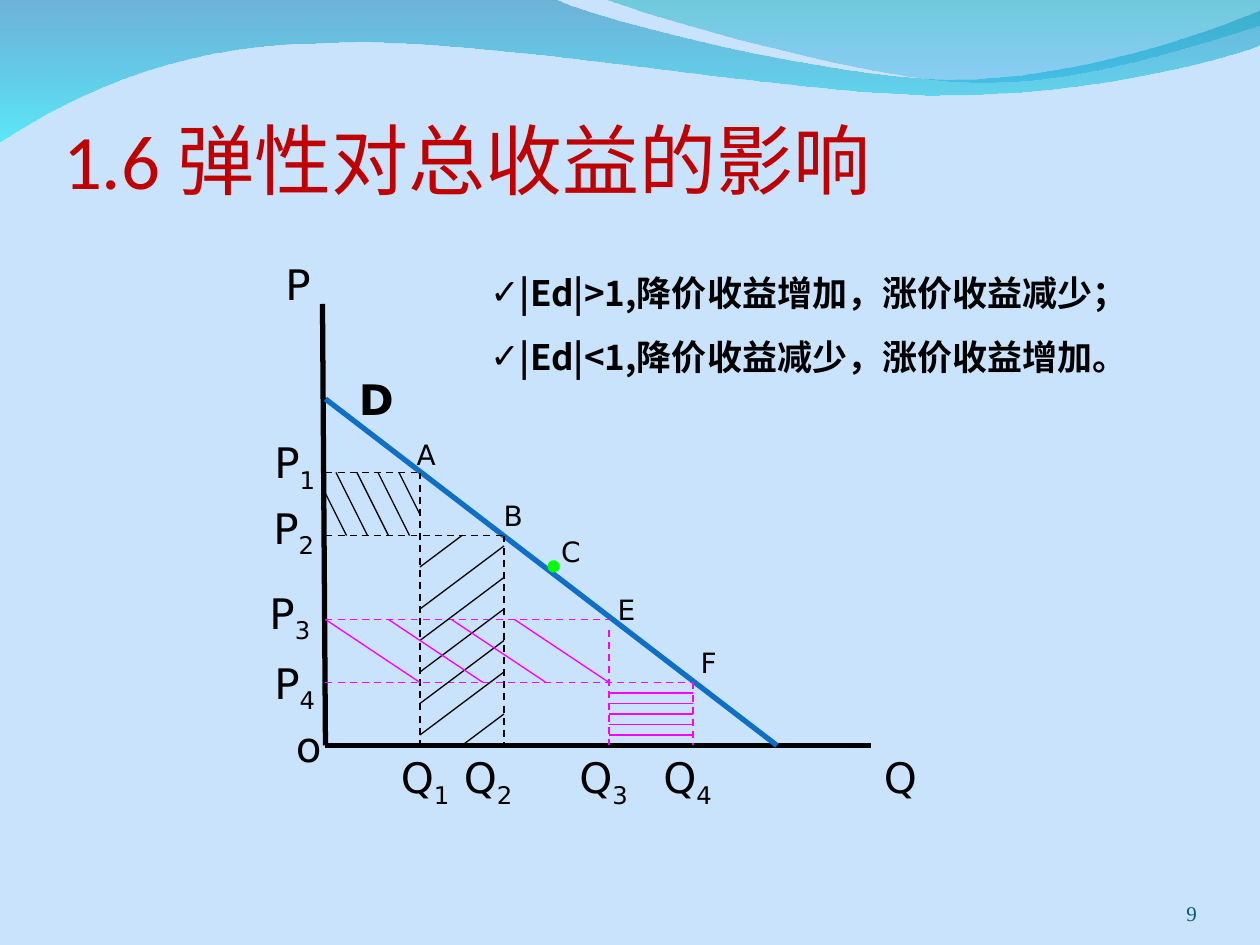
import pptx
import pptx.util
import pptx.dml.color
import pptx.enum.dml
import pptx.enum.shapes
import pptx.enum.text
import pptx.oxml
import pptx.oxml.ns

PX = 914400 / 126
Pt = pptx.util.Pt
qn = pptx.oxml.ns.qn
ANCHOR = pptx.enum.text.MSO_ANCHOR
ALIGN = pptx.enum.text.PP_ALIGN
AUTO = pptx.enum.text.MSO_AUTO_SIZE
BLACK, MAGENTA, BLUE = "000000", "FF00FF", "0F6FC6"
SANS, CJK = "DejaVu Sans", "Noto Sans CJK SC"

# Pairs are straight steps; triples of points are Bezier curves
WAVES = [
    ([(0, -1), (554, -1),
      ((600, 21), (837, 79), (955, 79)), ((1075, 79), (1207, 33), (1260, 11)),
      (1261, 45),
      ((1239, 55), (1096, 96), (940, 95)), ((784, 95), (481, 35), (324, 43)),
      ((163, 44), (58, 105), (-1, 142)), (0, -1)],
     [("0079AF", 45), ("00EBF8", 55)]),
    ([(604, -1),
      ((641, 14), (859, 78), (969, 82)), ((1079, 87), (1211, 40), (1260, 26)),
      (1260, 0), (604, -1)],
     [("00ADB6", 45), ("009BE5", 30)]),
]

RULES = ["|Ed|>1,降价收益增加，涨价收益减少；", "|Ed|<1,降价收益减少，涨价收益增加。"]

# Text, subscript, left, top, width
AXIS_LABELS = [
    ("o", "", 283.5, 714, 53), ("P", "", 273, 252, 116), ("Q", "", 871.5, 745.5, 116),
    ("P", "1", 262, 430.5, 116), ("P", "2", 261, 496, 95),
    ("P", "3", 257, 581, 84), ("P", "4", 262, 651, 116),
    ("Q", "1", 388.5, 745.5, 116), ("Q", "2", 451.5, 745.5, 116),
    ("Q", "3", 567, 745.5, 116), ("Q", "4", 651, 745.5, 116),
]
POINT_LABELS = [("A", 391, 417), ("B", 478, 478), ("C", 535.5, 514.5), ("E", 592, 572), ("F", 675, 625)]

X0, Y0 = 325.5, 745.5
Q1, Q2, Q3, Q4 = 420, 504, 609, 693
P1, P2, P3, P4 = 472.5, 535.5, 619.5, 682.5

AXES = [(322.5, 304, X0, Y0), (X0, Y0, 871.5, Y0)]
DEMAND = [(X0, 399, 777, Y0)]
BLACK_GUIDES = [(X0, P1, Q1, P1), (X0, P2, Q2, P2), (Q1, P1, Q1, Y0), (Q2, P2, Q2, Y0)]
MAGENTA_GUIDES = [(X0, P4, Q4, P4), (Q3, 630, Q3, Y0), (Q4, P4, Q4, Y0), (X0, P3, Q3, P3)]

BLACK_HATCH = (
    [(336 + 21 * i, P1, 367.5 + 21 * i, P2) for i in range(3)]
    + [(X0, 493.5, 346.5, P2), (399, P1, Q1, 514.5)]
    + [(Q1, 609 + 31.5 * i, Q2, 546 + 31.5 * i) for i in range(5)]
    + [(Q1, 567, 462, P2), (462, Y0, Q2, 714)]
)
MAGENTA_HATCH = (
    [(X0 + 63 * i, P3, X0 + 94.5 + 63 * i, P4) for i in range(4)]
    + [(Q3, 693 + 10.5 * i, Q4, 693 + 10.5 * i) for i in range(5)]
)


def px(*values):
    return [round(v * PX) for v in values]


def rgb(color):
    return pptx.dml.color.RGBColor.from_string(color)


def sub(parent, tag, **attrs):
    child = pptx.oxml.parse_xml(f"<{tag} {pptx.oxml.ns.nsdecls('a')}/>")
    for name, value in attrs.items():
        child.set(name, value)
    parent.append(child)
    return child


def add_run(p, text, size, color=BLACK, font=SANS, bold=False):
    r = p.add_run()
    r.text = text
    r.font.size = Pt(size)
    r.font.bold = bold
    r.font.color.rgb = rgb(color)
    r.font.name = font
    sub(r.font._element, "a:ea", typeface=CJK)
    return r


def add_box(s, left, top, width, height, wrap=True):
    tf = s.shapes.add_textbox(*px(left, top, width, height)).text_frame
    tf.word_wrap = wrap
    tf.auto_size = AUTO.SHAPE_TO_FIT_TEXT
    return tf


def add_lines(s, lines, color, width, dashed=False):
    for ends in lines:
        line = s.shapes.add_connector(pptx.enum.shapes.MSO_CONNECTOR.STRAIGHT, *px(*ends))
        line.line.color.rgb = rgb(color)
        line.line.width = Pt(width)
        if dashed:
            line.line.dash_style = pptx.enum.dml.MSO_LINE.DASH
        sub(line._element.spPr, "a:effectLst")


def add_wave(s, steps, stops):
    """Lay out all points as segments, then join each Bezier triple into one curve."""
    points = []
    for step in steps:
        points += [step] if len(step) == 2 else step
    points = [px(*point) for point in points]
    builder = s.shapes.build_freeform(*points[0], scale=1.0)
    builder.add_line_segments(points[1:], close=True)
    sp = builder.convert_to_shape()
    segments = iter(sp._element.spPr.findall(".//" + qn("a:lnTo")))
    for step in steps[1:]:
        first = next(segments)
        if len(step) == 3:
            curve = sub(first.getparent(), "a:cubicBezTo")
            first.addprevious(curve)
            for segment in (first, next(segments), next(segments)):
                curve.append(segment[0])
                segment.getparent().remove(segment)
    sp.shadow.inherit = False
    sp.line.fill.background()
    sp.fill.gradient()
    sp.fill.gradient_angle = 270
    for stop, (color, _) in zip(sp.fill.gradient_stops, stops):
        stop.color.rgb = rgb(color)
    for clr, (_, alpha) in zip(sp._element.spPr.findall(".//" + qn("a:srgbClr")), stops):
        sub(clr, "a:alpha", val=str(alpha * 1000))


def set_title(s):
    title = s.shapes.title
    title.left, title.top, title.width, title.height = px(63, 121, 1166, 84)
    tf = title.text_frame
    tf.auto_size = AUTO.NONE
    tf.vertical_anchor = ANCHOR.BOTTOM
    tf.margin_left = tf.margin_right = tf.margin_bottom = 0
    tf.paragraphs[0].alignment = ALIGN.LEFT
    add_run(tf.paragraphs[0], "1.6 弹性对总收益的影响", 44, "C00000", "Calibri")


def add_rules(s):
    tf = add_box(s, 478, 265, 719, 118)
    for i, text in enumerate(RULES):
        p = tf.add_paragraph() if i else tf.paragraphs[0]
        pPr = p._p.get_or_add_pPr()
        sub(sub(pPr, "a:buClr"), "a:srgbClr", val=BLACK)
        sub(pPr, "a:buFont", typeface=SANS)
        sub(pPr, "a:buChar", char="✓")
        p.line_spacing = Pt(24)
        if i:
            p.space_before = Pt(12.5)
        add_run(p, text, 20, font=CJK, bold=True)


def add_page_number(s):
    tf = add_box(s, 1092, 876, 105, 50)
    tf.auto_size = AUTO.NONE
    tf.vertical_anchor = ANCHOR.BOTTOM
    tf.margin_left = tf.margin_top = tf.margin_right = tf.margin_bottom = 0
    tf.paragraphs[0].alignment = ALIGN.RIGHT
    add_run(tf.paragraphs[0], "9", 12, "045C75", "Times New Roman")


def main():
    prs = pptx.Presentation()
    prs.slide_width, prs.slide_height = px(1260, 945)
    s = prs.slides.add_slide(prs.slide_layouts[5])
    s.background.fill.solid()
    s.background.fill.fore_color.rgb = rgb("C8E3FB")
    for steps, stops in WAVES:
        add_wave(s, steps, stops)
    add_page_number(s)
    set_title(s)

    add_lines(s, AXES, BLACK, 3)
    add_lines(s, DEMAND, BLUE, 3)
    add_lines(s, BLACK_GUIDES, BLACK, 1, dashed=True)
    add_lines(s, MAGENTA_GUIDES, MAGENTA, 1, dashed=True)
    for text, subscript, left, top, width in AXIS_LABELS:
        p = add_box(s, left, top, width, 71 if subscript else 63).paragraphs[0]
        add_run(p, text, 24)
        if subscript:
            add_run(p, subscript, 24).font._element.set("baseline", "-25000")
    add_run(add_box(s, 346.5, 367.5, 116, 63).paragraphs[0], "D", 24, bold=True)
    add_run(add_box(s, 529, 534, 40, 63, wrap=False).paragraphs[0], "•", 24, "00FF00")
    add_lines(s, BLACK_HATCH, BLACK, 0.75)
    add_lines(s, MAGENTA_HATCH, MAGENTA, 0.75)
    for text, left, top in POINT_LABELS:
        p = add_box(s, left, top, 73, 63).paragraphs[0]
        add_run(p, " ", 24)
        add_run(p, text, 16)
    add_rules(s)
    prs.save("out.pptx")


if __name__ == "__main__":
    main()
